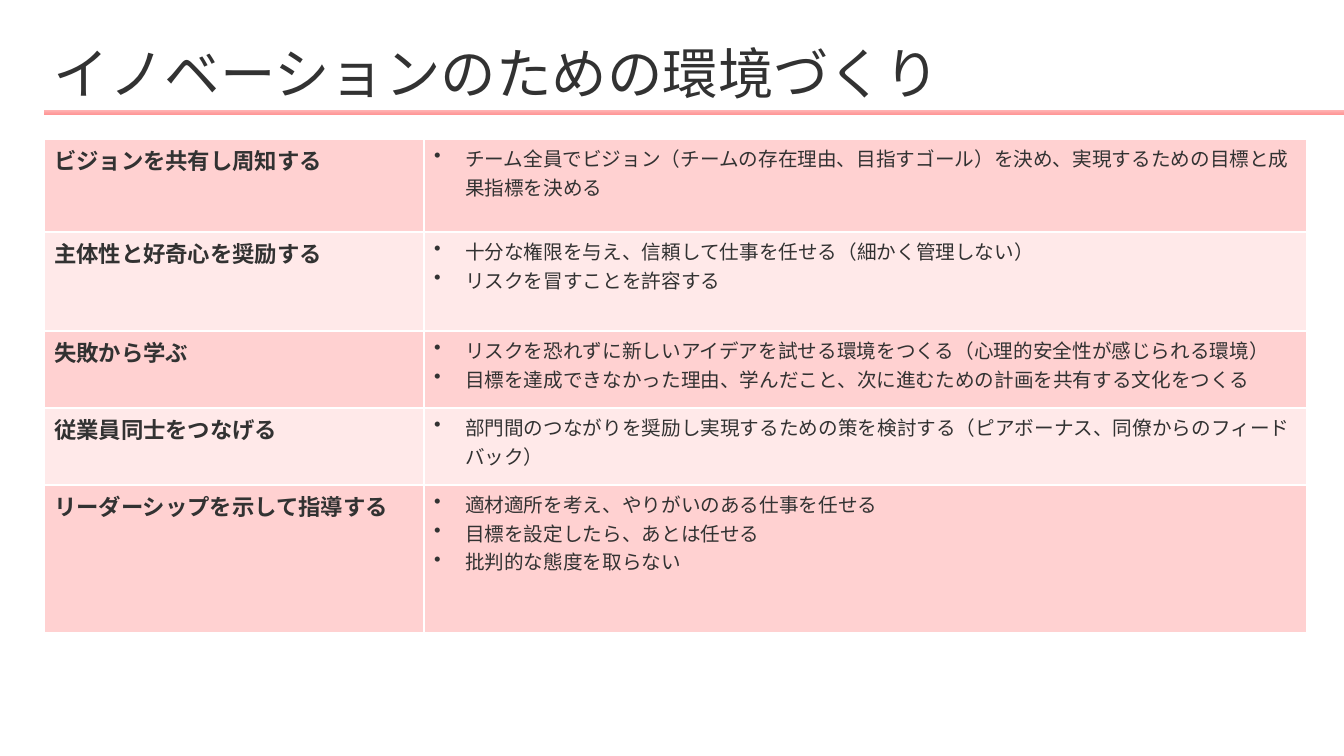
from dataclasses import dataclass

from lxml import etree
from pptx import Presentation
from pptx import util as u
from pptx.dml.color import RGBColor
from pptx.enum import shapes, text
from pptx.oxml.ns import qn

EMU_PER_PX = 914400 / 100.8


@dataclass(frozen=True)
class Theme:
    font: str = "Noto Sans CJK JP"
    ink: str = "323232"
    border: str = "FFFFFF"
    bands: tuple[str, str] = ("FFD1D1", "FFE9E9")
    rule: tuple[str, str] = ("FFB4B4", "FF9595")
    title_pt: float = 39.6
    heading_pt: int = 16
    action_pt: int = 14
    border_pt: int = 1


@dataclass(frozen=True)
class Principle:
    heading: str
    actions: tuple[str, ...]
    height: int


THEME = Theme()
LEFT, CONTENT_WIDTH = 44, 1263
SLIDE_WIDTH, SLIDE_HEIGHT = 1344, 756
TABLE_TOP = 139
COLUMN_WIDTHS = (380, 883)
BULLET_INDENT = 31

PRINCIPLES = (
    Principle("ビジョンを共有し周知する",
              ("チーム全員でビジョン（チームの存在理由、目指すゴール）を決め、実現するための目標と成果指標を決める",), 93),
    Principle("主体性と好奇心を奨励する",
              ("十分な権限を与え、信頼して仕事を任せる（細かく管理しない）",
               "リスクを冒すことを許容する"), 99),
    Principle("失敗から学ぶ",
              ("リスクを恐れずに新しいアイデアを試せる環境をつくる（心理的安全性が感じられる環境）",
               "目標を達成できなかった理由、学んだこと、次に進むための計画を共有する文化をつくる"), 77),
    Principle("従業員同士をつなげる",
              ("部門間のつながりを奨励し実現するための策を検討する（ピアボーナス、同僚からのフィードバック）",), 77),
    Principle("リーダーシップを示して指導する",
              ("適材適所を考え、やりがいのある仕事を任せる",
               "目標を設定したら、あとは任せる",
               "批判的な態度を取らない"), 148),
)


def px(length: int) -> u.Emu:
    return u.Emu(round(length * EMU_PER_PX))


def style_runs(frame, size: float, bold: bool = False) -> None:
    for paragraph in frame.paragraphs:
        for run in paragraph.runs:
            run.font.size = u.Pt(size)
            run.font.bold = bold
            run.font.color.rgb = RGBColor.from_string(THEME.ink)
            run.font.name = THEME.font
            latin = run.font._element.find(qn("a:latin"))
            east_asian = etree.Element(qn("a:ea"), typeface=THEME.font)
            latin.addnext(east_asian)


def add_bullets(frame) -> None:
    for paragraph in frame.paragraphs:
        properties = paragraph._p.get_or_add_pPr()
        properties.set("marL", str(px(BULLET_INDENT)))
        properties.set("indent", str(-px(BULLET_INDENT)))
        etree.SubElement(properties, qn("a:buChar"), char="•")


def paint_cell(cell, fill: str) -> None:
    """Give the cell its borders, then its fill, in schema order."""
    properties = cell._tc.get_or_add_tcPr()
    for side in ("lnL", "lnR", "lnT", "lnB"):
        line = etree.SubElement(properties, qn(f"a:{side}"), w=str(u.Pt(THEME.border_pt)))
        solid = etree.SubElement(line, qn("a:solidFill"))
        etree.SubElement(solid, qn("a:srgbClr"), val=THEME.border)
    cell.fill.solid()
    cell.fill.fore_color.rgb = RGBColor.from_string(fill)


def add_title(slide, title: str) -> None:
    box = slide.shapes.add_textbox(px(LEFT), px(39), px(CONTENT_WIDTH), px(74))
    frame = box.text_frame
    frame.word_wrap = True
    frame.vertical_anchor = text.MSO_ANCHOR.MIDDLE
    frame.text = title
    frame.paragraphs[0].line_spacing = 0.9
    style_runs(frame, THEME.title_pt)


def add_title_rule(slide) -> None:
    rule = slide.shapes.add_shape(shapes.MSO_SHAPE.RECTANGLE, px(LEFT), px(110),
                                  px(SLIDE_WIDTH - LEFT), px(5))
    rule.shadow.inherit = False
    rule.line.fill.background()
    rule.fill.gradient()
    rule.fill.gradient_angle = 270
    for stop, color in zip(rule.fill.gradient_stops, THEME.rule):
        stop.color.rgb = RGBColor.from_string(color)


def add_principles(slide, principles: tuple[Principle, ...]) -> None:
    height = sum(principle.height for principle in principles)
    table = slide.shapes.add_table(len(principles), len(COLUMN_WIDTHS), px(LEFT), px(TABLE_TOP),
                                   px(CONTENT_WIDTH), px(height)).table
    table.first_row = False
    table.horz_banding = False
    for column, width in zip(table.columns, COLUMN_WIDTHS):
        column.width = px(width)
    for index, (row, principle) in enumerate(zip(table.rows, principles)):
        row.height = px(principle.height)
        heading, actions = row.cells
        heading.text_frame.text = principle.heading
        style_runs(heading.text_frame, THEME.heading_pt, bold=True)
        actions.text_frame.text = "\n".join(principle.actions)
        add_bullets(actions.text_frame)
        style_runs(actions.text_frame, THEME.action_pt)
        for cell in (heading, actions):
            paint_cell(cell, THEME.bands[index % len(THEME.bands)])


def main() -> None:
    deck = Presentation()
    deck.slide_width, deck.slide_height = px(SLIDE_WIDTH), px(SLIDE_HEIGHT)
    slide = deck.slides.add_slide(deck.slide_layouts[6])
    add_title_rule(slide)
    add_title(slide, "イノベーションのための環境づくり")
    add_principles(slide, PRINCIPLES)
    deck.save("out.pptx")


if __name__ == "__main__":
    main()
